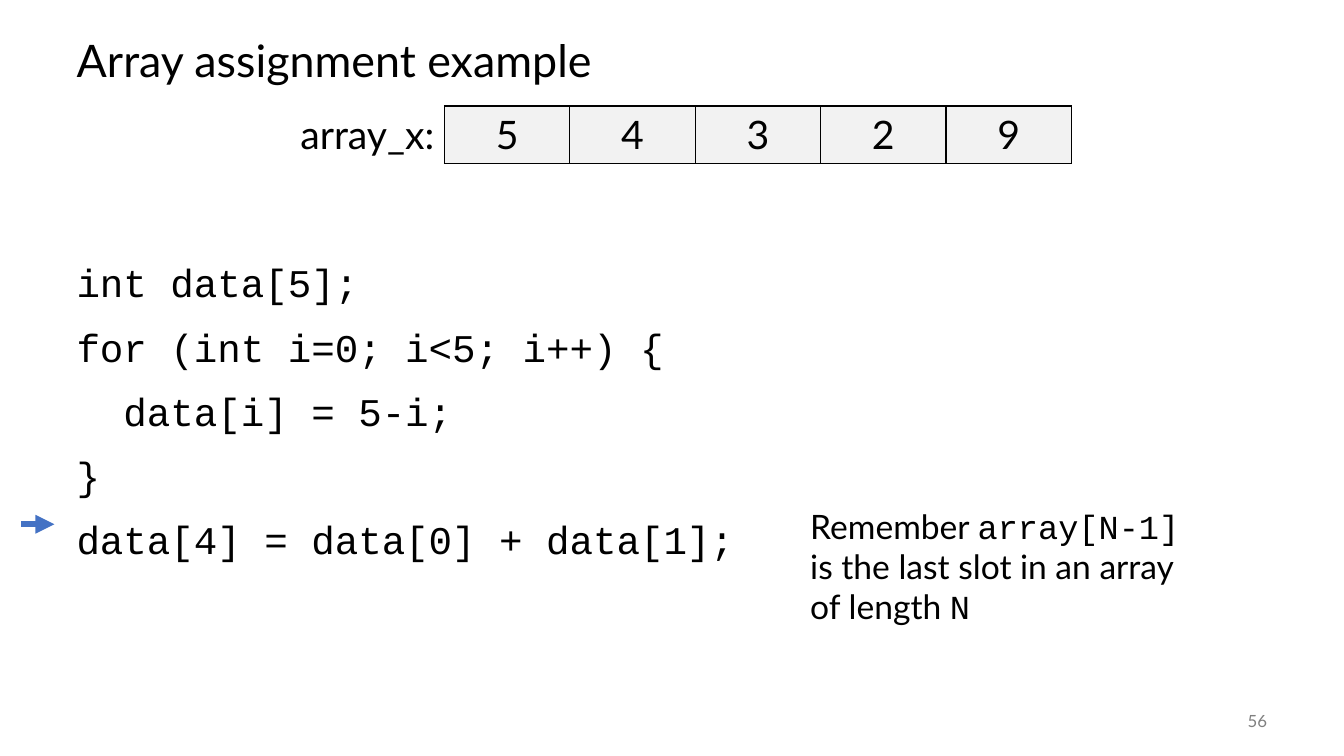
"""Build the slide that shows an array assignment in code and as a row of cells."""
from lxml import etree
from pptx import Presentation
from pptx import util as u
from pptx.dml.color import RGBColor
from pptx.enum import shapes, text
from pptx.oxml import ns

TITLE = "Array assignment example"
ARRAY_LABEL = "array_x:"
ARRAY_VALUES = [5, 4, 3, 2, 9]
CODE = [
    "int data[5];",
    "for (int i=0; i<5; i++) {",
    "  data[i] = 5-i;",
    "}",
    "data[4] = data[0] + data[1];",
]
SANS, MONO = "Lato", "Courier New"
REMINDER = [
    ("Remember ", SANS),
    ("array[N-1]", MONO),
    (" is the last slot in an array of length ", SANS),
    ("N", MONO),
]
PAGE = "56"

BLACK = RGBColor(0x00, 0x00, 0x00)
GRAY = RGBColor(0x80, 0x80, 0x80)
CELL_GRAY = RGBColor(0xF2, 0xF2, 0xF2)
BLUE = RGBColor(0x44, 0x72, 0xC4)

LEFT, WIDTH = 1.68, 30.48
LABEL_WIDTH, SLOT_WIDTH, ROW_HEIGHT = 4.22, 3.16, 1.44


def box(at):
    return [u.Cm(length) for length in at]


def style(font, size, name=SANS, color=BLACK):
    font.size, font.name = u.Pt(size), name
    font.color.rgb = color


def add_frame(slide, at):
    frame = slide.shapes.add_textbox(*box(at)).text_frame
    frame.word_wrap = True
    return frame


def set_borders(cell, sides):
    properties = cell._tc.get_or_add_tcPr()
    for index, side in enumerate("LRTB"):
        line = etree.Element(ns.qn(f"a:ln{side}"), w=str(u.Pt(1)))
        if side in sides:
            fill = etree.SubElement(line, ns.qn("a:solidFill"))
            etree.SubElement(fill, ns.qn("a:srgbClr"), val=str(BLACK))
        else:
            etree.SubElement(line, ns.qn("a:noFill"))
        properties.insert(index, line)


def add_title(slide):
    title = slide.shapes.title
    title.left, title.top, title.width, title.height = box((LEFT, 0.64, WIDTH, 1.9))
    frame = title.text_frame
    frame.text = TITLE
    frame.vertical_anchor = text.MSO_ANCHOR.MIDDLE
    heading = frame.paragraphs[0]
    heading.alignment, heading.line_spacing = text.PP_ALIGN.LEFT, 0.9
    style(heading.font, 32)


def add_array(slide):
    entries = [ARRAY_LABEL, *ARRAY_VALUES]
    width = LABEL_WIDTH + SLOT_WIDTH * len(ARRAY_VALUES)
    array = slide.shapes.add_table(
        1, len(entries), *box((6.98, 2.67, width, ROW_HEIGHT))).table
    array.first_row = array.horz_banding = False
    for column, entry in enumerate(entries):
        is_label = column == 0
        array.columns[column].width = u.Cm(LABEL_WIDTH if is_label else SLOT_WIDTH)
        cell = array.cell(0, column)
        cell.text = str(entry)
        paragraph = cell.text_frame.paragraphs[0]
        paragraph.alignment = text.PP_ALIGN.RIGHT if is_label else text.PP_ALIGN.CENTER
        style(paragraph.font, 28)
        if is_label:
            cell.fill.background()
        else:
            cell.fill.solid()
            cell.fill.fore_color.rgb = CELL_GRAY
        set_borders(cell, "R" if is_label else "LRTB")


def add_code(slide):
    frame = add_frame(slide, (LEFT, 6.53, WIDTH, 8))
    for number, code_line in enumerate(CODE):
        paragraph = frame.add_paragraph() if number else frame.paragraphs[0]
        paragraph.text = code_line
        paragraph.line_spacing = 0.9
        if number:
            paragraph.space_before = u.Pt(15.5)
        style(paragraph.font, 28, MONO)


def add_current_line_arrow(slide):
    arrow = slide.shapes.add_connector(
        shapes.MSO_CONNECTOR.STRAIGHT, *box((0.53, 13.21, 1.37, 13.21)))
    arrow.line.color.rgb, arrow.line.width = BLUE, u.Pt(4.5)
    etree.SubElement(arrow.line._get_or_add_ln(), ns.qn("a:tailEnd"), type="triangle")
    etree.SubElement(arrow._element.spPr, ns.qn("a:effectLst"))


def add_reminder(slide):
    reminder = add_frame(slide, (20.17, 12.62, 9.98, 3.33)).paragraphs[0]
    for words, name in REMINDER:
        run = reminder.add_run()
        run.text = words
        style(run.font, 24, name)


def add_page_number(slide):
    frame = add_frame(slide, (29.64, 17.65, 2.54, 1.02))
    frame.text = PAGE
    frame.vertical_anchor = text.MSO_ANCHOR.MIDDLE
    frame.paragraphs[0].alignment = text.PP_ALIGN.RIGHT
    style(frame.paragraphs[0].font, 12, color=GRAY)


def main():
    deck = Presentation()
    deck.slide_width, deck.slide_height = u.Cm(33.87), u.Cm(19.05)
    slide = deck.slides.add_slide(deck.slide_layouts.get_by_name("Title Only"))
    for add_part in (add_title, add_code, add_page_number, add_array,
                     add_current_line_arrow, add_reminder):
        add_part(slide)
    deck.save("out.pptx")


if __name__ == "__main__":
    main()
